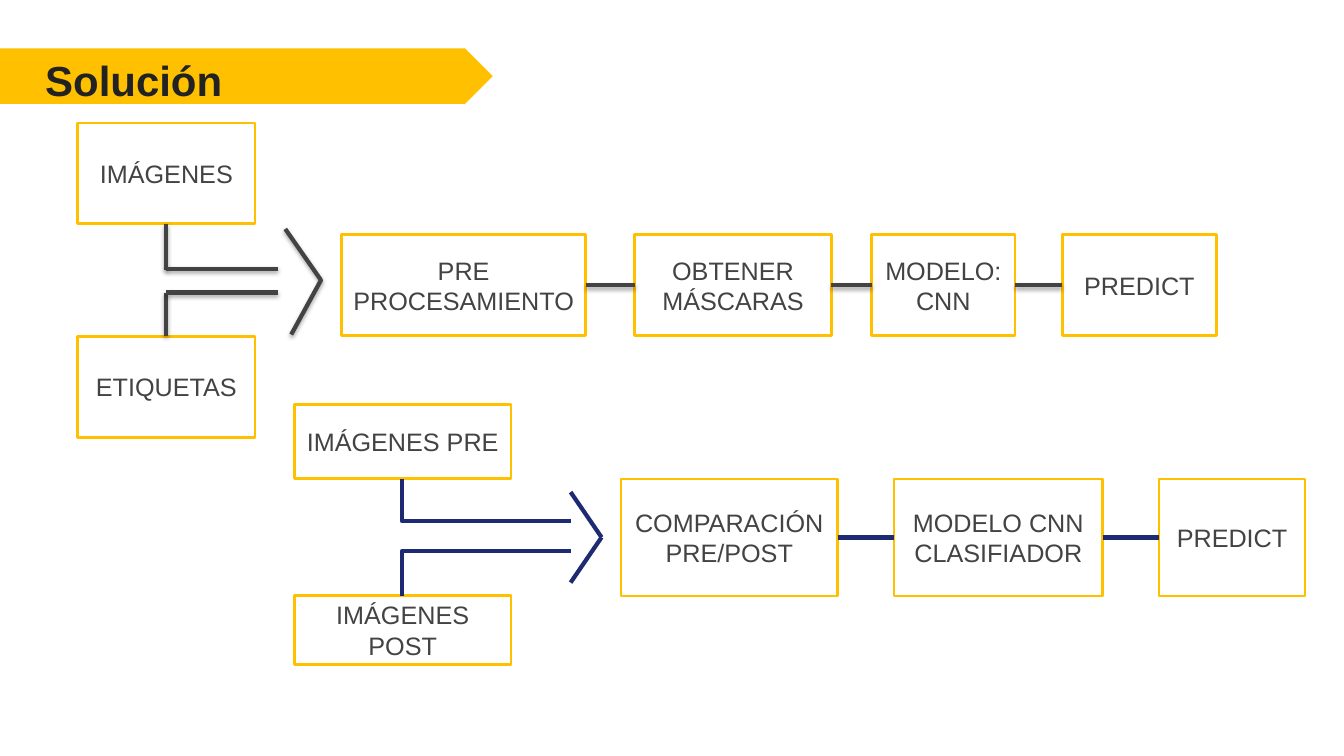
from lxml import etree
from pptx import Presentation
from pptx.dml.color import RGBColor
from pptx.enum.shapes import MSO_CONNECTOR, MSO_SHAPE
from pptx.enum.text import MSO_ANCHOR, PP_ALIGN
from pptx.oxml.ns import qn
from pptx.util import Cm, Pt

STRAIGHT, ELBOW = MSO_CONNECTOR.STRAIGHT, MSO_CONNECTOR.ELBOW
RECT, PENTAGON = MSO_SHAPE.RECTANGLE, MSO_SHAPE.PENTAGON
MIDDLE, CENTER = MSO_ANCHOR.MIDDLE, PP_ALIGN.CENTER
COLORS = {"amber": "FFC000", "title": "222222", "text": "434343",
          "navy": "1E2B73", "white": "FFFFFF"}


def rgb(name):
    return RGBColor.from_string(COLORS[name])


class Diagram:
    font = "Arial"

    def __init__(self, slide):
        self.shapes = slide.shapes

    def label(self, frame, text, size, color, bold=False, align=None):
        frame.word_wrap = True
        frame.text = text
        for paragraph in frame.paragraphs:
            paragraph.alignment = align
            for run in paragraph.runs:
                run.font.name, run.font.size, run.font.bold = self.font, Pt(size), bold
                run.font.color.rgb = rgb(color)

    def banner(self, left, top, width, height):
        banner = self.shapes.add_shape(PENTAGON, Cm(left), Cm(top), Cm(width), Cm(height))
        banner.shadow.inherit = False
        banner.fill.solid()
        banner.fill.fore_color.rgb = rgb("amber")
        banner.line.fill.background()

    def title(self, text, left, top, width, height, inset):
        frame = self.shapes.add_textbox(Cm(left), Cm(top), Cm(width), Cm(height)).text_frame
        frame.margin_left = frame.margin_right = Cm(inset)
        frame.margin_top = frame.margin_bottom = Cm(inset)
        self.label(frame, text, 30, "title", bold=True)

    def step(self, text, left, top, width, height, fill=None):
        step = self.shapes.add_shape(RECT, Cm(left), Cm(top), Cm(width), Cm(height))
        step.shadow.inherit = False
        if fill:
            step.fill.solid()
            step.fill.fore_color.rgb = rgb(fill)
        else:
            step.fill.background()
        step.line.color.rgb = rgb("amber")
        step.line.width = Pt(2)
        step.text_frame.vertical_anchor = MIDDLE
        self.label(step.text_frame, text, 18, "text", align=CENTER)

    def stroke(self, shape, color, shadow):
        shape.line.color.rgb = rgb(color)
        shape.line.width = Pt(3)
        properties = shape._element.spPr
        for effects in properties.findall(qn("a:effectLst")):
            properties.remove(effects)
        effects = etree.SubElement(properties, qn("a:effectLst"))
        if shadow:
            outer = etree.SubElement(effects, qn("a:outerShdw"), blurRad="40000",
                                     dist="20000", dir="5400000", rotWithShape="0")
            black = etree.SubElement(outer, qn("a:srgbClr"), val="000000")
            etree.SubElement(black, qn("a:alpha"), val="35000")

    def link(self, start, end, color, shadow=False, kind=STRAIGHT):
        link = self.shapes.add_connector(kind, *map(Cm, start + end))
        if kind == ELBOW:  # one bend: across, then up or down
            link._element.spPr.find(qn("a:prstGeom")).set("prst", "bentConnector2")
        self.stroke(link, color, shadow)

    def chevron(self, points, color):
        first, *others = [(Cm(x), Cm(y)) for x, y in points]
        builder = self.shapes.build_freeform(*first)
        builder.add_line_segments(others, close=False)
        chevron = builder.convert_to_shape()
        chevron.fill.background()
        self.stroke(chevron, color, shadow=True)

    def chain(self, steps, top, height, color, fill=None, shadow=False):
        for text, left, width in steps:
            self.step(text, left, top, width, height, fill)
        middle = top + height / 2
        for (_, left, width), (_, next_left, _) in zip(steps, steps[1:]):
            self.link((left + width, middle), (next_left, middle), color, shadow)


def main():
    deck = Presentation()
    deck.slide_width, deck.slide_height = Cm(33.87), Cm(19.05)
    diagram = Diagram(deck.slides.add_slide(deck.slide_layouts[6]))

    # Title
    diagram.banner(0, 1.22, 12.42, 1.4)
    diagram.title("Solución", 0.81, 1.04, 10.82, 2.26, inset=0.33)

    # Segmentation: inputs and steps
    diagram.step("IMÁGENES", 1.96, 3.1, 4.47, 2.54)
    diagram.step("ETIQUETAS", 1.96, 8.48, 4.47, 2.54)
    segmentation = [("PRE\nPROCESAMIENTO", 8.61, 6.15), ("OBTENER\nMÁSCARAS", 16, 4.95),
                    ("MODELO:\nCNN", 21.97, 3.61), ("PREDICT", 26.77, 3.89)]
    diagram.chain(segmentation, 5.92, 2.54, "text", shadow=True)

    # Segmentation: inputs flow into the chain
    for edge, corner, level in [(5.64, 6.81, 6.78), (8.46, 7.39, 7.37)]:
        diagram.link((4.19, edge), (4.19, corner), "text", shadow=True)
        diagram.link((4.19, level), (7.01, level), "text", shadow=True)
    diagram.chevron([(7.19, 5.77), (8.09, 7.06), (7.34, 8.43)], "text")

    # Classification: inputs and steps
    diagram.step("IMÁGENES POST", 7.42, 15.01, 5.46, 1.73, "white")
    diagram.step("IMÁGENES PRE", 7.42, 10.19, 5.46, 1.86, "white")
    classification = [("COMPARACIÓN PRE/POST", 15.65, 5.46),
                      ("MODELO CNN CLASIFIADOR", 22.53, 5.26), ("PREDICT", 29.21, 3.68)]
    diagram.chain(classification, 12.07, 2.95, "navy", "white")

    # Classification: inputs flow into the chain
    for edge, level, wing in [(12.06, 13.13, 12.4), (15.01, 13.89, 14.68)]:
        diagram.link((14.38, level), (10.13, edge), "navy", kind=ELBOW)
        diagram.link((14.38, wing), (15.16, 13.54), "navy")

    deck.save("out.pptx")


if __name__ == "__main__":
    main()
